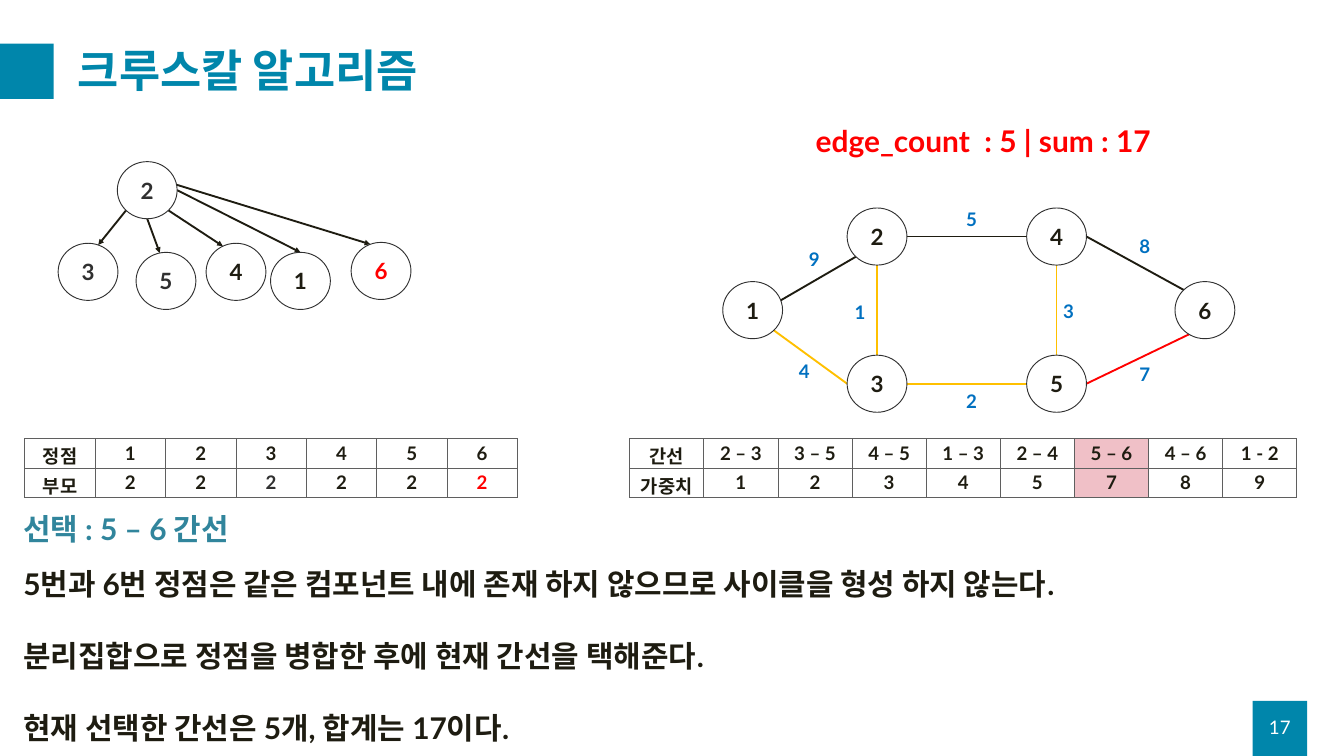
import math

from lxml import etree
from pptx import Presentation, util as u
from pptx.dml.color import RGBColor
from pptx.enum import shapes, text
from pptx.oxml import ns

CELL = u.Inches(0.1)
COLUMNS, ROWS = 200, 112.5
NODE_W, NODE_H = 8.9, 8.5
FONT = "Lato"
TEAL, INK, GRAY, RED = "0086AB", "1E1C11", "303030", "FF0000"
YELLOW, BLUE, WHITE, PINK = "FFC000", "0070C0", "FFFFFF", "F0C0C7"
BORDER, STEEL = "5F5F5F", "31859C"
CENTER, LEFT = text.PP_ALIGN.CENTER, text.PP_ALIGN.LEFT
MIDDLE, TOP = text.MSO_ANCHOR.MIDDLE, text.MSO_ANCHOR.TOP


def color(hex_code):
    """Turn a hex string into a colour."""
    return RGBColor.from_string(hex_code)


def grid(*counts):
    """Turn counts of grid cells into lengths."""
    return [round(count * CELL) for count in counts]


def point(box, across, down):
    """Find a point given as percentages of a box."""
    left, top, width, height = box
    return left + width * across / 100, top + height * down / 100


def format_text(frame, size, ink, bold=True, align=LEFT, anchor=TOP):
    """Format every paragraph and run of a text frame."""
    frame.vertical_anchor = anchor
    for paragraph in frame.paragraphs:
        paragraph.alignment = align
        for run in paragraph.runs:
            run.font.name, run.font.size, run.font.bold = FONT, u.Pt(size), bold
            run.font.color.rgb = color(ink)


def add_text(slide, box, words, size, ink, wrap=True, **style):
    """Place a formatted text box and return its frame."""
    frame = slide.shapes.add_textbox(*grid(*box)).text_frame
    frame.word_wrap = wrap
    frame.text = words
    format_text(frame, size, ink, **style)
    return frame


def add_block(slide, kind, box, fill, outline=None):
    """Place a flat filled shape."""
    block = slide.shapes.add_shape(kind, *grid(*box))
    block.shadow.inherit = False
    block.fill.solid()
    block.fill.fore_color.rgb = color(fill)
    if outline:
        block.line.color.rgb = color(outline)
        block.line.width = u.Pt(1)
    else:
        block.line.fill.background()
    return block


def rim(center, degrees):
    """Find the point on a node's outline, clockwise from its right side."""
    angle = math.radians(degrees)
    return (center[0] + NODE_W / 2 * math.cos(angle),
            center[1] + NODE_H / 2 * math.sin(angle))


def add_edge(slide, start, end, ink, arrow):
    """Draw an edge between two grid points."""
    edge = slide.shapes.add_connector(
        shapes.MSO_CONNECTOR.STRAIGHT, *grid(*start, *end))
    edge.line.color.rgb = color(ink)
    edge.line.width = u.Pt(2)
    if arrow:
        etree.SubElement(edge.line._get_or_add_ln(), ns.qn("a:tailEnd"), type="triangle")
    etree.SubElement(edge._element.spPr, ns.qn("a:effectLst"))


def draw_graph(slide, box, nodes, edges, weights=(), arrow=False):
    """Draw nodes, edges and weights at percentages of the box of node centres."""
    centers = {name: point(box, *spot) for name, (*spot, _) in nodes.items()}
    for start, leave, end, arrive, ink in edges:
        add_edge(slide, rim(centers[start], leave), rim(centers[end], arrive), ink, arrow)
    for name, (_, _, ink) in nodes.items():
        x, y = centers[name]
        node = add_block(slide, shapes.MSO_SHAPE.OVAL,
                         (x - NODE_W / 2, y - NODE_H / 2, NODE_W, NODE_H), WHITE, GRAY)
        node.text_frame.text = name
        format_text(node.text_frame, 24, ink, align=CENTER, anchor=MIDDLE)
    for weight, *spot in weights:
        x, y = point(box, *spot)
        add_text(slide, (x - 1.5, y - 2.2, 3, 4.4), weight, 20, BLUE,
                 wrap=False, align=CENTER)


def add_border(cell):
    """Give a cell a thin line on all four sides."""
    properties = cell._tc.get_or_add_tcPr()
    for index, side in enumerate(("lnL", "lnR", "lnT", "lnB")):
        line = etree.Element(ns.qn(f"a:{side}"), w=str(u.Pt(1)))
        fill = etree.SubElement(line, ns.qn("a:solidFill"))
        etree.SubElement(fill, ns.qn("a:srgbClr"), val=BORDER)
        properties.insert(index, line)


def draw_table(slide, box, rows, marked_column=None, inks=None):
    """Draw a two-row table with an optional marked column and cell inks."""
    table = slide.shapes.add_table(len(rows), len(rows[0]), *grid(*box)).table
    table.first_row = table.horz_banding = False
    for r, row in enumerate(rows):
        for c, words in enumerate(row):
            cell = table.cell(r, c)
            cell.text = words
            format_text(cell.text_frame, 20, (inks or {}).get((r, c), INK), align=CENTER)
            cell.fill.solid()
            cell.fill.fore_color.rgb = color(PINK if c == marked_column else WHITE)
            add_border(cell)


def draw_frame(slide, number):
    """Draw the title, its marker and the page number."""
    square = shapes.MSO_SHAPE.RECTANGLE
    add_block(slide, square, (COLUMNS - 13.6, ROWS - 8.2, 8.1, 8.2), TEAL)
    add_block(slide, square, (-0.1, 6.5, 8.1, 8.2), TEAL)
    add_text(slide, (COLUMNS - 13.6, ROWS - 7.3, 8.1, 6), number, 20, WHITE,
             bold=False, align=CENTER, anchor=MIDDLE)
    title = slide.shapes.title
    title.left, title.top, title.width, title.height = grid(10.6, 5, 182.5, 11.8)
    title.text_frame.text = "크루스칼 알고리즘"
    title.text_frame.auto_size = text.MSO_AUTO_SIZE.NONE
    title.text_frame.paragraphs[0].line_spacing = 0.9
    format_text(title.text_frame, 48, TEAL, anchor=MIDDLE)


def draw_explanation(slide, box):
    """Write the chosen edge and the reasons for it."""
    left, top, width, height = box
    add_text(slide, (left, top, 58, 6.4), "선택 : 5 – 6 간선", 32, STEEL)
    reasons = add_text(
        slide, (left, top + 8.2, width, height - 8.2),
        "5번과 6번 정점은 같은 컴포넌트 내에 존재 하지 않으므로 사이클을 형성 하지 않는다.\n"
        "분리집합으로 정점을 병합한 후에 현재 간선을 택해준다.\n"
        "현재 선택한 간선은 5개, 합계는 17이다.", 32, INK)
    for paragraph in reasons.paragraphs[:-1]:
        paragraph.space_after = u.Pt(38.4)


def main():
    """Build the slide and save it."""
    deck = Presentation()
    deck.slide_width, deck.slide_height = grid(COLUMNS, ROWS)
    slide = deck.slides.add_slide(deck.slide_layouts[5])
    draw_frame(slide, "17")
    add_text(slide, (120.4, 17.8, 61.7, 6.4), "edge_count  : 5 | sum : 17", 32, RED)
    draw_graph(
        slide, (13.1, 28.3, 43.6, 13.5),
        {"2": (20.2, 0, GRAY), "3": (0, 90, GRAY), "5": (26.6, 100, GRAY),
         "4": (50.5, 90, INK), "1": (72.5, 100, INK), "6": (100, 89, RED)},
        [("2", 135, "3", -70, INK), ("2", 90, "5", -102, INK), ("2", 45, "4", -116, INK),
         ("2", 0, "1", -90, INK), ("2", -11, "6", -111, INK)], arrow=True)
    draw_graph(
        slide, (112, 35.2, 67.3, 21.9),
        {"1": (0, 50, INK), "2": (27.5, 0, INK), "3": (27.5, 100, INK),
         "4": (67.2, 0, INK), "5": (67.2, 100, INK), "6": (100, 50, INK)},
        [("2", 135, "1", -20, INK), ("3", 180, "1", 45, YELLOW), ("2", 0, "4", 180, INK),
         ("3", 0, "5", 180, YELLOW), ("6", 122, "5", 0, RED), ("6", 225, "4", 0, INK),
         ("2", 90, "3", -90, YELLOW), ("4", 90, "5", -90, YELLOW)],
        [("9", 13.2, 15.5), ("1", 23.3, 51.6), ("4", 11, 91.3), ("2", 48, 112),
         ("5", 48, -12), ("3", 69.4, 51.1), ("7", 86.3, 93.6), ("8", 86.3, 6.8)])
    draw_table(slide, (3.7, 65.3, 73.3, 8.7),
               [["정점", *"123456"], ["부모", *"222222"]],
               inks={(1, 3): GRAY, (1, 6): RED})
    draw_table(slide, (93.7, 65.3, 99.3, 8.7),
               [["간선", "2 – 3", "3 – 5", "4 – 5", "1 – 3", "2 – 4", "5 – 6", "4 – 6", "1 - 2"],
                ["가중치", *"12345789"]], marked_column=6)
    draw_explanation(slide, (2.5, 75.5, 191.6, 36.1))
    deck.save("out.pptx")


if __name__ == "__main__":
    main()
